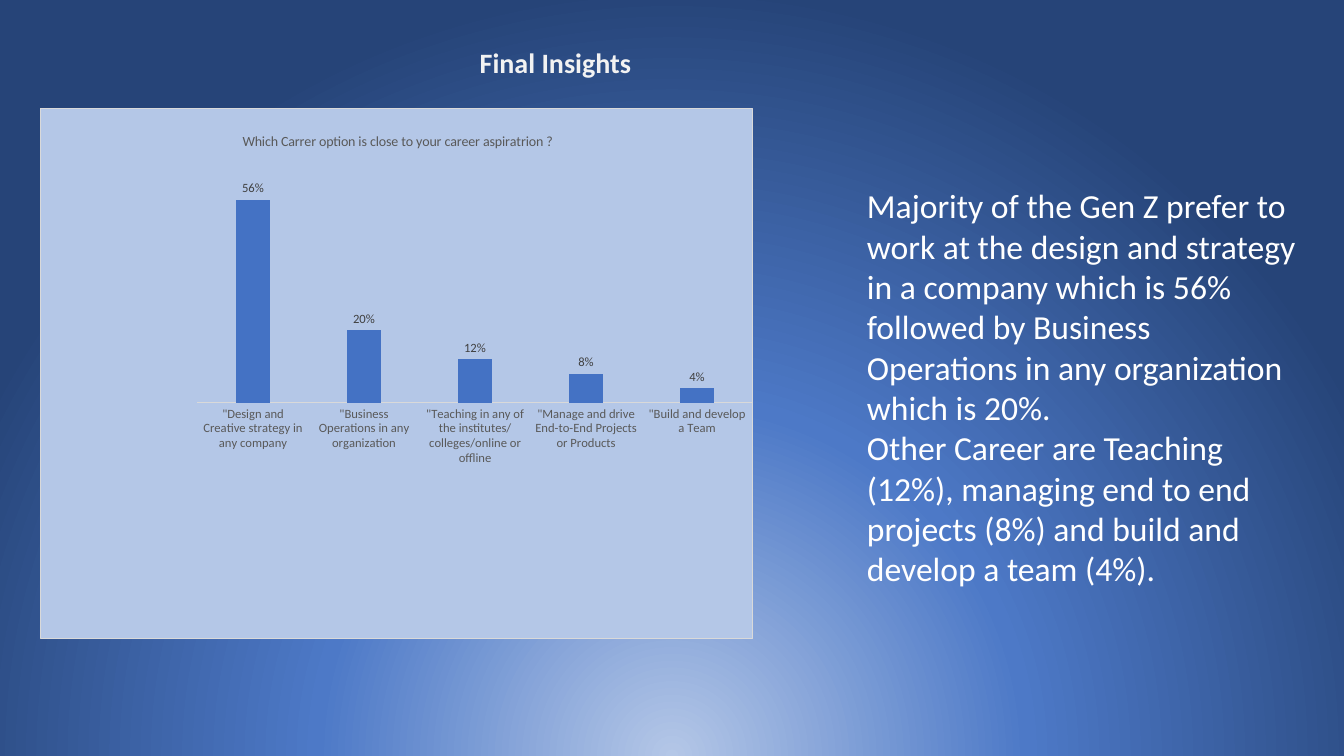
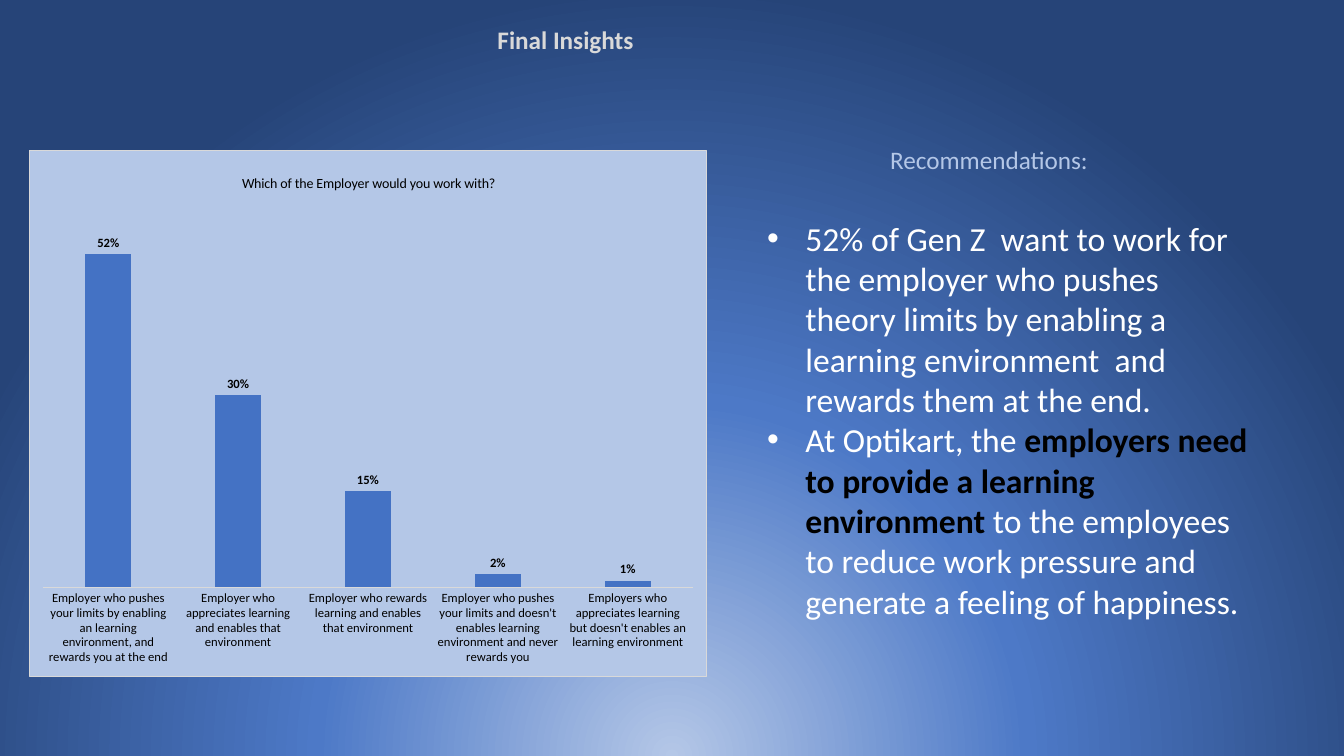
"""Build two insight slides, each pairing a column chart with its reading."""
from dataclasses import dataclass

from lxml.etree import SubElement
from pptx import Presentation
from pptx.chart.data import CategoryChartData
from pptx.dml.color import RGBColor
from pptx.enum.chart import XL_CHART_TYPE, XL_LABEL_POSITION, XL_TICK_MARK
from pptx.enum.text import MSO_AUTO_SIZE, PP_ALIGN
from pptx.oxml import parse_xml
from pptx.oxml.ns import nsdecls, qn
from pptx.util import Inches, Pt


@dataclass(frozen=True)
class Theme:
    font: str = "Calibri"
    white: str = "FFFFFF"
    black: str = "000000"
    panel: str = "B4C7E7"
    middle: str = "4D79C7"
    deep: str = "264478"
    bar: str = "4472C4"
    rule: str = "D9D9D9"
    pale: str = "F2F2F2"
    grey: str = "595959"
    dark: str = "404040"
    body_size: int = 24
    title_size: int = 20
    heading_size: int = 18
    chart_size: int = 10
    label_size: int = 9
    rule_width: float = 0.75
    bullet_indent: float = 0.38


THEME = Theme()

SLIDES = [
    {
        "texts": [
            {"box": (2.93, 0.4, 5.16, 0.44), "size": THEME.title_size,
             "color": THEME.pale, "bold": True, "align": PP_ALIGN.CENTER,
             "paras": [["Final Insights"]]},
            {"box": (8.5, 1.79, 4.58, 4.14), "size": THEME.body_size, "color": THEME.white,
             "paras": [
                 ["Majority of the Gen Z prefer to work at the design and strategy in a "
                  "company which is 56% followed by Business Operations in any "
                  "organization which is 20%."],
                 ["Other Career are Teaching (12%), managing end to end projects (8%) "
                  "and build and develop a team (4%)."]]},
        ],
        "chart": {
            "box": (0.4, 1.07, 7.07, 5.27),
            "title": "Which Carrer option is close to your career aspiratrion ?",
            "title_at": (0.28, 0.04), "plot": (0.22, 0.145, 0.78, 0.41),
            "gap": 219, "overlap": -27,
            "text_color": THEME.grey, "label_color": THEME.dark, "label_bold": False,
            "values": {
                '"Design and Creative strategy in any company': 0.56,
                '"Business Operations in any organization': 0.2,
                '"Teaching in any of the institutes/colleges/online or offline': 0.12,
                '"Manage and drive End-to-End Projects or Products': 0.08,
                '"Build and develop a Team': 0.04,
            },
        },
    },
    {
        "texts": [
            {"box": (3.03, 0.19, 5.16, 0.4), "size": THEME.heading_size,
             "color": THEME.rule, "bold": True, "align": PP_ALIGN.CENTER,
             "paras": [["Final Insights"]]},
            {"box": (8.73, 1.38, 3.3, 0.4), "size": THEME.heading_size,
             "color": THEME.panel, "paras": [["Recommendations:"]]},
            {"box": (7.51, 2.11, 5.05, 4.14), "size": THEME.body_size,
             "color": THEME.white, "bullets": True,
             "paras": [
                 ["52% of Gen Z  want to work for the employer who pushes theory limits by "
                  "enabling a learning environment  and rewards them at the end."],
                 ["At Optikart, the ",
                  ("employers need to provide a learning environment ", THEME.black, True),
                  "to the employees to reduce work pressure and generate a feeling of "
                  "happiness."]]},
        ],
        "chart": {
            "box": (0.29, 1.49, 6.72, 5.23),
            "title": "Which of the Employer would you work with?",
            "title_at": (0.31, 0.04), "plot": (0.02, 0.1, 0.96, 0.73),
            "gap": 182, "overlap": 0,
            "text_color": THEME.black, "label_color": THEME.black, "label_bold": True,
            "values": {
                "Employer who pushes your limits by enabling an learning environment, "
                "and rewards you at the end": 0.52,
                "Employer who appreciates learning and enables that environment": 0.3,
                "Employer who rewards learning and enables that environment": 0.15,
                "Employer who pushes your limits and doesn't enables learning "
                "environment and never rewards you": 0.02,
                "Employers who appreciates learning but doesn't enables an learning "
                "environment": 0.01,
            },
        },
    },
]


def style_font(font, size, color, bold=False):
    font.name = THEME.font
    font.size = Pt(size)
    font.bold = bold
    font.color.rgb = RGBColor.from_string(color)


def paint_background(master):
    master.background.fill.solid()
    properties = master.element.find(".//" + qn("p:bgPr"))
    stops = "".join(
        f'<a:gs pos="{percent * 1000}"><a:srgbClr val="{color}"/></a:gs>'
        for percent, color in ((0, THEME.panel), (46, THEME.middle), (100, THEME.deep)))
    properties.replace(properties[0], parse_xml(
        f'<a:gradFill {nsdecls("a")} rotWithShape="1"><a:gsLst>{stops}</a:gsLst>'
        '<a:path path="circle"><a:fillToRect l="50000" t="130000" r="50000" b="-30000"/>'
        '</a:path></a:gradFill>'))


def add_bullet(para):
    properties = para._p.get_or_add_pPr()
    indent = Inches(THEME.bullet_indent)
    properties.set("marL", str(indent))
    properties.set("indent", str(-indent))
    SubElement(properties, qn("a:buFont"), typeface="Arial")
    SubElement(properties, qn("a:buChar"), char="•")


def add_text(page, text):
    box = page.shapes.add_textbox(*map(Inches, text["box"]))
    frame = box.text_frame
    frame.word_wrap = True
    frame.auto_size = MSO_AUTO_SIZE.SHAPE_TO_FIT_TEXT
    for index, spans in enumerate(text["paras"]):
        para = frame.add_paragraph() if index else frame.paragraphs[0]
        para.alignment = text.get("align", PP_ALIGN.LEFT)
        if text.get("bullets"):
            add_bullet(para)
        for item in spans:
            if isinstance(item, str):
                item = (item, text["color"], text.get("bold", False))
            words, color, bold = item
            span = para.add_run()
            span.text = words
            style_font(span.font, text["size"], color, bold)


def set_layout(parent, index, places, target=""):
    for old in parent.findall(qn("c:layout")):
        parent.remove(old)
    modes = "".join(f'<c:{axis}Mode val="edge"/>' for axis in "xy")
    values = "".join(f'<c:{name} val="{value}"/>' for name, value in zip("xywh", places))
    parent.insert(index, parse_xml(
        f'<c:layout {nsdecls("c")}><c:manualLayout>{target}{modes}{values}'
        '</c:manualLayout></c:layout>'))


def paint_panel(chart):
    chart.element.find(qn("c:chart")).addnext(parse_xml(
        f'<c:spPr {nsdecls("c", "a")}>'
        f'<a:solidFill><a:srgbClr val="{THEME.panel}"/></a:solidFill>'
        f'<a:ln w="{Pt(THEME.rule_width)}"><a:solidFill><a:srgbClr val="{THEME.rule}"/>'
        '</a:solidFill></a:ln></c:spPr>'))


def add_column_chart(page, content):
    data = CategoryChartData(number_format="0%")
    data.categories = list(content["values"])
    data.add_series("Series 1", list(content["values"].values()))
    chart = page.shapes.add_chart(
        XL_CHART_TYPE.COLUMN_CLUSTERED, *map(Inches, content["box"]), data).chart
    style_font(chart.font, THEME.chart_size, THEME.black)
    chart.has_legend = False
    paint_panel(chart)

    chart.has_title = True
    span = chart.chart_title.text_frame.paragraphs[0].add_run()
    span.text = content["title"]
    style_font(span.font, THEME.chart_size, content["text_color"])
    set_layout(chart.element.find(".//" + qn("c:title")), 1, content["title_at"])
    set_layout(chart.element.find(".//" + qn("c:plotArea")), 0, content["plot"],
               '<c:layoutTarget val="inner"/>')

    values = chart.value_axis
    values.visible = False
    values.has_major_gridlines = False
    values.minimum_scale, values.maximum_scale = 0, 0.6
    categories = chart.category_axis
    categories.major_tick_mark = XL_TICK_MARK.NONE
    categories.format.line.color.rgb = RGBColor.from_string(THEME.rule)
    categories.format.line.width = Pt(THEME.rule_width)
    style_font(categories.tick_labels.font, THEME.label_size, content["text_color"])

    plot = chart.plots[0]
    plot.vary_by_categories = False
    plot.gap_width = content["gap"]
    plot.overlap = content["overlap"]
    fill = plot.series[0].format.fill
    fill.solid()
    fill.fore_color.rgb = RGBColor.from_string(THEME.bar)
    labels = plot.series[0].data_labels
    labels.show_value = True
    labels.position = XL_LABEL_POSITION.OUTSIDE_END
    labels.number_format = "0%"
    labels.number_format_is_linked = False
    style_font(labels.font, THEME.label_size, content["label_color"], content["label_bold"])


def main():
    deck = Presentation()
    deck.slide_width, deck.slide_height = Inches(13.33), Inches(7.5)
    paint_background(deck.slide_master)
    for content in SLIDES:
        page = deck.slides.add_slide(deck.slide_layouts[6])
        add_column_chart(page, content["chart"])
        for text in content["texts"]:
            add_text(page, text)
    deck.save("out.pptx")


if __name__ == "__main__":
    main()
